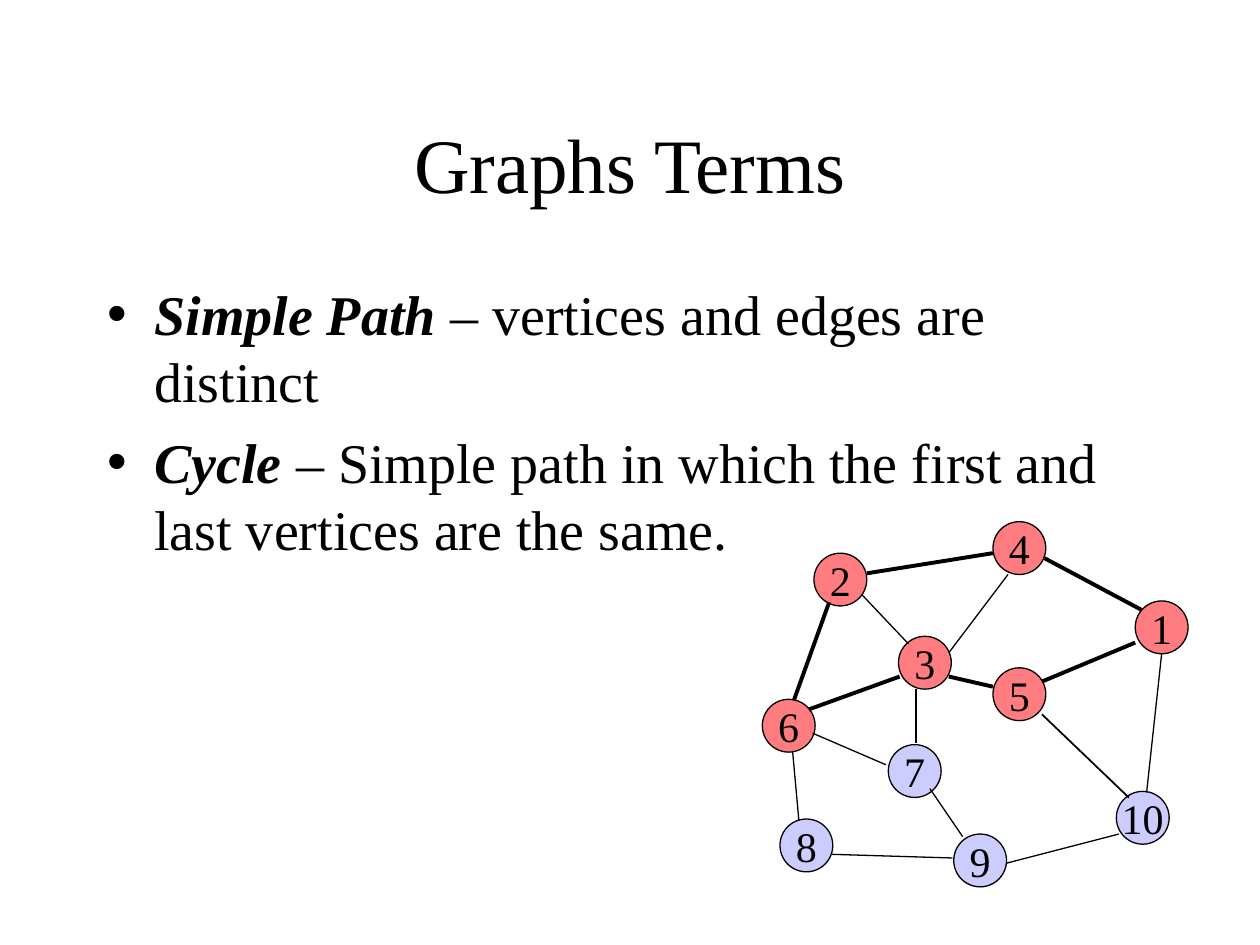
from dataclasses import dataclass

import pptx
import pptx.dml.color
import pptx.enum.shapes
import pptx.enum.text
import pptx.oxml
import pptx.util

Pt = pptx.util.Pt
ALIGN = pptx.enum.text.PP_ALIGN
ANCHOR = pptx.enum.text.MSO_ANCHOR

COLORS = {"ink": "000000", "cycle": "FF7C80", "other": "CCCCFF"}
FONT = "Times New Roman"
DIAMETER = 30.2
THIN, MEDIUM, THICK = 0.75, 1, 2.25


@dataclass
class Vertex:
    label: str
    left: float
    top: float
    color: str = "cycle"


@dataclass
class Edge:
    start: tuple[float, float]
    end: tuple[float, float]
    width: float = THIN


VERTICES = [
    Vertex("2", 465.1, 316.1),
    Vertex("6", 435.6, 399.6),
    Vertex("5", 567.4, 381.6),
    Vertex("4", 567.4, 298.1),
    Vertex("3", 513.4, 363.6),
    Vertex("8", 445.7, 468, "other"),
    Vertex("9", 545, 476.6, "other"),
    Vertex("1", 648.7, 343.4),
    Vertex("7", 507.6, 425.5, "other"),
    Vertex("10", 637.9, 452.2, "other"),
]

EDGES = [
    # The highlighted cycle 2-4-1-5-3-6
    Edge((495.4, 327.6), (567.4, 316.1), THICK),
    Edge((596.9, 319), (652.3, 348.5), THICK),
    Edge((648.7, 367.2), (595.4, 389.5), THICK),
    Edge((542.2, 386.6), (567.4, 392.4), THICK),
    Edge((514.1, 386.6), (462.2, 405.4), THICK),
    Edge((473.8, 344.2), (453.6, 400.3), THICK),
    # The remaining edges
    Edge((492.5, 339.8), (519.1, 367.9)),
    Edge((542.2, 373), (576, 328.3)),
    Edge((452.9, 429.1), (456.5, 468.7)),
    Edge((464.4, 419), (506.2, 437)),
    Edge((523.4, 393.8), (523.4, 424.8)),
    Edge((595.4, 408.2), (645.1, 455.8), MEDIUM),
    Edge((531.4, 450.7), (550.1, 478.1)),
    Edge((475.2, 488.2), (544.3, 490.3)),
    Edge((575.3, 493.2), (639.4, 476.6)),
    Edge((655.2, 452.9), (663.8, 373.7)),
]

TERMS = [
    ("Simple Path", " – vertices and edges are distinct"),
    ("Cycle", " – Simple path in which the first and last vertices are the same."),
]


def apply_format(target, values: dict) -> None:
    for name, value in values.items():
        setattr(target, name, value)


def rgb(name: str) -> pptx.dml.color.RGBColor:
    return pptx.dml.color.RGBColor.from_string(COLORS[name])


def add_run(paragraph, text: str, size: float, **values) -> None:
    run = paragraph.add_run()
    run.text = text
    apply_format(run.font, {"name": FONT, "size": Pt(size), **values})
    run.font.color.rgb = rgb("ink")


def place(shape, left: float, top: float, width: float, height: float) -> None:
    apply_format(shape, {"left": Pt(left), "top": Pt(top),
                         "width": Pt(width), "height": Pt(height)})


def draw_vertex(slide, vertex: Vertex) -> None:
    shape = slide.shapes.add_shape(
        pptx.enum.shapes.MSO_SHAPE.OVAL,
        Pt(vertex.left), Pt(vertex.top), Pt(DIAMETER), Pt(DIAMETER))
    shape.shadow.inherit = False
    shape.fill.solid()
    shape.fill.fore_color.rgb = rgb(vertex.color)
    shape.line.color.rgb = rgb("ink")
    shape.line.width = Pt(THIN)
    apply_format(shape.text_frame, {"word_wrap": False, "vertical_anchor": ANCHOR.MIDDLE})
    paragraph = shape.text_frame.paragraphs[0]
    paragraph.alignment = ALIGN.CENTER
    add_run(paragraph, vertex.label, 24)


def draw_edge(slide, edge: Edge) -> None:
    connector = slide.shapes.add_connector(
        pptx.enum.shapes.MSO_CONNECTOR.STRAIGHT,
        *(Pt(value) for value in edge.start + edge.end))
    connector.line.color.rgb = rgb("ink")
    connector.line.width = Pt(edge.width)
    properties = connector._element.spPr
    properties.append(pptx.oxml.parse_xml(
        '<a:effectLst xmlns:a="http://schemas.openxmlformats.org/drawingml/2006/main"/>'))


def main() -> None:
    presentation = pptx.Presentation()
    apply_format(presentation, {"slide_width": Pt(720), "slide_height": Pt(540)})
    slide = presentation.slides.add_slide(presentation.slide_layouts[1])

    # Title
    title = slide.shapes.title
    place(title, 54, 48, 612, 90)
    title.text_frame.vertical_anchor = ANCHOR.MIDDLE
    heading = title.text_frame.paragraphs[0]
    heading.alignment = ALIGN.CENTER
    add_run(heading, "Graphs Terms", 44)

    # Definitions
    body = slide.placeholders[1]
    place(body, 54, 156, 612, 324)
    body.text_frame.auto_size = pptx.enum.text.MSO_AUTO_SIZE.NONE
    for index, (term, meaning) in enumerate(TERMS):
        paragraph = body.text_frame.add_paragraph() if index else body.text_frame.paragraphs[0]
        paragraph.space_before = Pt(8)
        add_run(paragraph, term, 32, bold=True, italic=True)
        add_run(paragraph, meaning, 32, bold=False, italic=False)

    # Graph
    for vertex in VERTICES:
        draw_vertex(slide, vertex)
    for edge in EDGES:
        draw_edge(slide, edge)

    presentation.save("out.pptx")


if __name__ == "__main__":
    main()
